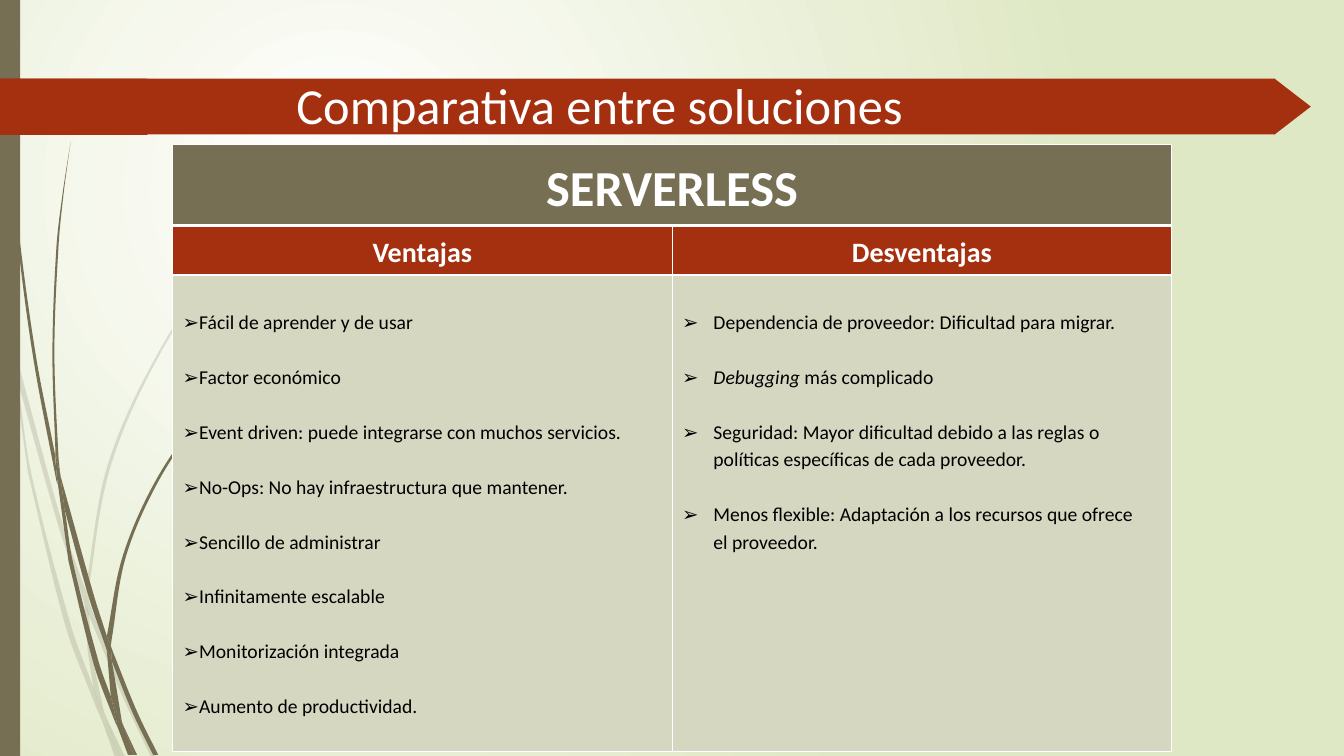
from itertools import pairwise
from math import dist
from lxml.etree import SubElement
from pptx import Presentation
from pptx.dml.color import RGBColor
from pptx.enum.shapes import MSO_SHAPE as SHAPE
from pptx.enum.text import MSO_ANCHOR as ANCHOR, PP_ALIGN as ALIGN
from pptx.oxml import parse_xml
from pptx.oxml.ns import nsdecls, qn
from pptx.util import Pt

# Content
TITLE = "Comparativa entre soluciones"
HEADER = "SERVERLESS"
COLUMNS = {
    "Ventajas": [
        "Fácil de aprender y de usar",
        "Factor económico",
        "Event driven: puede integrarse con muchos servicios.",
        "No-Ops: No hay infraestructura que mantener.",
        "Sencillo de administrar",
        "Infinitamente escalable",
        "Monitorización integrada",
        "Aumento de productividad.",
    ],
    "Desventajas": [
        "Dependencia de proveedor: Dificultad para migrar.",
        ("Debugging", " más complicado"),
        "Seguridad: Mayor dificultad debido a las reglas o políticas específicas de cada proveedor.",
        "Menos flexible: Adaptación a los recursos que ofrece el proveedor.",
    ],
}
LEFT_INDENTS = [5.76, 22.3]  # hanging text of each column, points
BULLET_INDENT = -22.3

# Grass: both edges of every blade section, on a grid of 0.72 points
GRID = 0.72
PALE_GRASS = [
    ([(11, 350), (9, 322), (0, 282)], [(0, 299), (10, 344)]),
    ([(14, 345), (62, 520), (85, 586)], [(84, 599), (58, 522), (17, 376)]),
    ([(88, 596), (92, 607), (127, 692), (155, 751)], [(150, 751), (123, 694), (88, 610)]),
    ([(105, 711), (124, 751)], [(119, 751)]),
    ([(11, 350), (17, 376), (31, 469), (70, 619), (93, 683)],
     [(99, 707), (101, 714), (92, 693), (65, 621), (28, 470)]),
    ([(84, 599), (88, 608), (91, 646), (103, 706)], [(105, 711), (96, 692), (93, 683), (87, 646)]),
    ([(88, 596), (88, 584), (110, 462), (160, 349), (229, 245), (268, 198), (290, 175), (312, 154)],
     [(312, 153), (289, 175), (268, 197), (228, 244), (158, 348), (107, 461), (85, 584)]),
    ([(101, 714), (114, 751)], [(119, 751)]),
    ([(84, 599), (85, 586)], [(88, 596), (88, 610)]),
    ([(93, 683), (96, 692), (105, 711), (119, 751)], [(101, 714), (99, 707)]),
]
DARK_GRASS = [
    ([(3, 0), (4, 48), (7, 110), (17, 233), (33, 355), (56, 477), (57, 481)],
     [(55, 457), (55, 453), (36, 355), (19, 232), (8, 109), (5, 48), (4, 0)]),
    ([(60, 472), (93, 590), (106, 631)], [(106, 645), (88, 592), (64, 505)]),
    ([(110, 641), (113, 649), (136, 706), (157, 749)], [(152, 749), (132, 708), (111, 656)]),
    ([(57, 477), (64, 505), (72, 556), (98, 657), (110, 691)],
     [(116, 717), (117, 722), (111, 708), (93, 659), (68, 557)]),
    ([(70, 141), (63, 193), (58, 245), (54, 349), (58, 453), (60, 472)],
     [(55, 449), (52, 349), (56, 245), (62, 193), (70, 141)]),
    ([(122, 719), (136, 749)], [(133, 749)]),
    ([(55, 449), (60, 472)], [(64, 505), (57, 477), (55, 453)]),
    ([(106, 631), (122, 551), (156, 474), (204, 405), (231, 373), (245, 358), (260, 344)],
     [(261, 344), (245, 359), (231, 374), (205, 406), (158, 476), (125, 552), (111, 633), (110, 641)]),
    ([(117, 722), (127, 749)], [(131, 749)]),
    ([(106, 645), (109, 651), (111, 656), (121, 716)], [(122, 719), (116, 706), (110, 691)]),
    ([(106, 631), (110, 641)], [(111, 656), (109, 651), (106, 645)]),
    ([(110, 691), (116, 706), (122, 719), (133, 749)], [(130, 749), (117, 722), (116, 717)]),
]

OLIVE = RGBColor(0x76, 0x6F, 0x54)
RUST = RGBColor(0xA5, 0x30, 0x10)
SAGE = RGBColor(0xD5, 0xD7, 0xC1)
WHITE = RGBColor(0xFF, 0xFF, 0xFF)
BLACK = RGBColor(0, 0, 0)
FONT = "Calibri"


def add_text(p, text, size, color, bold=False, italic=False, align=None, spacing=None):
    r = p.add_run()
    r.text = text
    f = r.font
    f.name, f.size, f.bold, f.italic = FONT, Pt(size), bold, italic
    f.color.rgb = color
    if align is not None:
        p.alignment = align
    if spacing:
        p.line_spacing = spacing


def paint(sp, color, opacity=100):
    sp.shadow.inherit = False
    sp.fill.solid()
    sp.fill.fore_color.rgb = color
    sp.line.fill.background()
    if opacity < 100:
        clr = sp.fill._xPr.find(".//" + qn("a:srgbClr"))
        SubElement(clr, qn("a:alpha"), val=str(opacity * 1000))


def smooth(points):
    """Bezier segments (two handles and an end) through the points."""
    ext = [points[0], *points, points[-1]]
    tangents = [[(v - u) / dist(a, b) for u, v in zip(a, b)] if a != b else [0, 0]
                for a, b in zip(ext, ext[2:])]
    for (a, ta), (b, tb) in pairwise(zip(points, tangents)):
        reach = dist(a, b) / 3
        yield [tuple(u + t * reach for u, t in zip(a, ta)),
               tuple(u - t * reach for u, t in zip(b, tb)), b]


def add_blade(edge, back_edge, opacity):
    segments = [*smooth(edge), [back_edge[0]], *smooth(back_edge)]
    fine = 100
    fb = shapes.build_freeform(*(v * fine for v in edge[0]), scale=Pt(GRID) / fine)
    fb.add_line_segments([(x * fine, y * fine) for seg in segments for x, y in seg], close=True)
    sp = fb.convert_to_shape()
    lines = iter(sp._element.findall(".//" + qn("a:lnTo")))
    for seg in segments:
        first, *rest = [next(lines) for _ in seg]
        if rest:
            first.addprevious(curve := parse_xml(f'<a:cubicBezTo {nsdecls("a")}/>'))
            for line in (first, *rest):
                curve.append(line[0])
                line.getparent().remove(line)
    paint(sp, OLIVE, opacity)


def format_cell(cell, color, anchor=ANCHOR.MIDDLE, **borders):
    cell.fill.solid()
    cell.fill.fore_color.rgb = color
    cell.vertical_anchor = anchor
    tc_pr = cell._tc.get_or_add_tcPr()
    for i, side in enumerate("LRTB"):
        tc_pr.insert(i, parse_xml(
            f'<a:ln{side} {nsdecls("a")} w="{Pt(borders.get(side, 1))}"><a:solidFill>'
            f'<a:srgbClr val="{WHITE}"/></a:solidFill></a:ln{side}>'))


prs = Presentation()
prs.slide_width, prs.slide_height = Pt(960), Pt(540)
slide = prs.slides.add_slide(prs.slide_layouts[5])
shapes = slide.shapes

# Background: white glow fading to pale green
bg_pr = slide.background.fill._xPr
for child in list(bg_pr):
    bg_pr.remove(child)
bg_pr.append(parse_xml(
    f'<a:gradFill {nsdecls("a")} rotWithShape="1"><a:gsLst>'
    '<a:gs pos="0"><a:srgbClr val="FFFFFF"/></a:gs>'
    '<a:gs pos="100000"><a:srgbClr val="DFE8C4"/></a:gs></a:gsLst>'
    '<a:path path="circle"><a:fillToRect l="50000" t="50000" r="100000" b="100000"/>'
    '</a:path></a:gradFill>'))
SubElement(bg_pr, qn("a:effectLst"))

# Grass, side strip and title arrow
for grass, opacity in [(PALE_GRASS, 20), (DARK_GRASS, 100)]:
    for edge, back_edge in grass:
        add_blade(edge, back_edge, opacity)
for kind, box, color, angle in [
    (SHAPE.RECTANGLE, (0, 0, 14.4, 540), OLIVE, 0),
    (SHAPE.PENTAGON, (0, 56.2, 125, 40.2), RUST, 0),
    (SHAPE.RECTANGLE, (0, 56.2, 910.8, 39.9), RUST, 0),
    (SHAPE.ISOSCELES_TRIANGLE, (903.4, 63.2, 39.9, 25.9), RUST, 90),
]:
    sp = shapes.add_shape(kind, *map(Pt, box))
    sp.rotation = angle
    paint(sp, color)

# Title, brought in front of the arrow
title = shapes.title
title.left, title.top, title.width, title.height = map(Pt, (204.5, 47.8, 702, 54))
title.text_frame.vertical_anchor = ANCHOR.MIDDLE
add_text(title.text_frame.paragraphs[0], TITLE, 36, WHITE, align=ALIGN.LEFT)
shapes._spTree.append(title._element)

# Table
ROW_HEIGHTS = [57.6, 34.6, 340.4]
COL_WIDTH = 356.8
frame = shapes.add_table(3, 2, Pt(123.3), Pt(103.2), Pt(2 * COL_WIDTH), Pt(sum(ROW_HEIGHTS)))
table = frame.table
for row, height in zip(table.rows, ROW_HEIGHTS):
    row.height = Pt(height)
for col in table.columns:
    col.width = Pt(COL_WIDTH)

head = table.cell(0, 0)
head.merge(table.cell(0, 1))
for c in range(2):
    format_cell(table.cell(0, c), OLIVE, B=3)
add_text(head.text_frame.paragraphs[0], HEADER, 36, WHITE, bold=True, align=ALIGN.CENTER, spacing=1.15)

for c, (heading, items) in enumerate(COLUMNS.items()):
    cell = table.cell(1, c)
    format_cell(cell, RUST, T=3)
    add_text(cell.text_frame.paragraphs[0], heading, 20, WHITE, bold=True, align=ALIGN.CENTER, spacing=1.15)

    cell = table.cell(2, c)
    format_cell(cell, SAGE, ANCHOR.TOP)
    cell.margin_top, cell.margin_right = Pt(23.2), Pt(16)
    tf = cell.text_frame
    for i, item in enumerate(items):
        p = tf.paragraphs[0] if i == 0 else tf.add_paragraph()
        if i:
            p.space_before = Pt(19.6)
        runs = [item] if isinstance(item, str) else item
        for n, text in enumerate(runs):
            add_text(p, text, 14, BLACK, italic=len(runs) > 1 and n == 0, spacing=1.15)
        p_pr = p._p.get_or_add_pPr()
        p_pr.set("marL", str(Pt(LEFT_INDENTS[c])))
        p_pr.set("indent", str(Pt(BULLET_INDENT)))
        SubElement(p_pr, qn("a:buFont"), typeface=FONT)
        SubElement(p_pr, qn("a:buChar"), char="➢")

prs.save("out.pptx")
